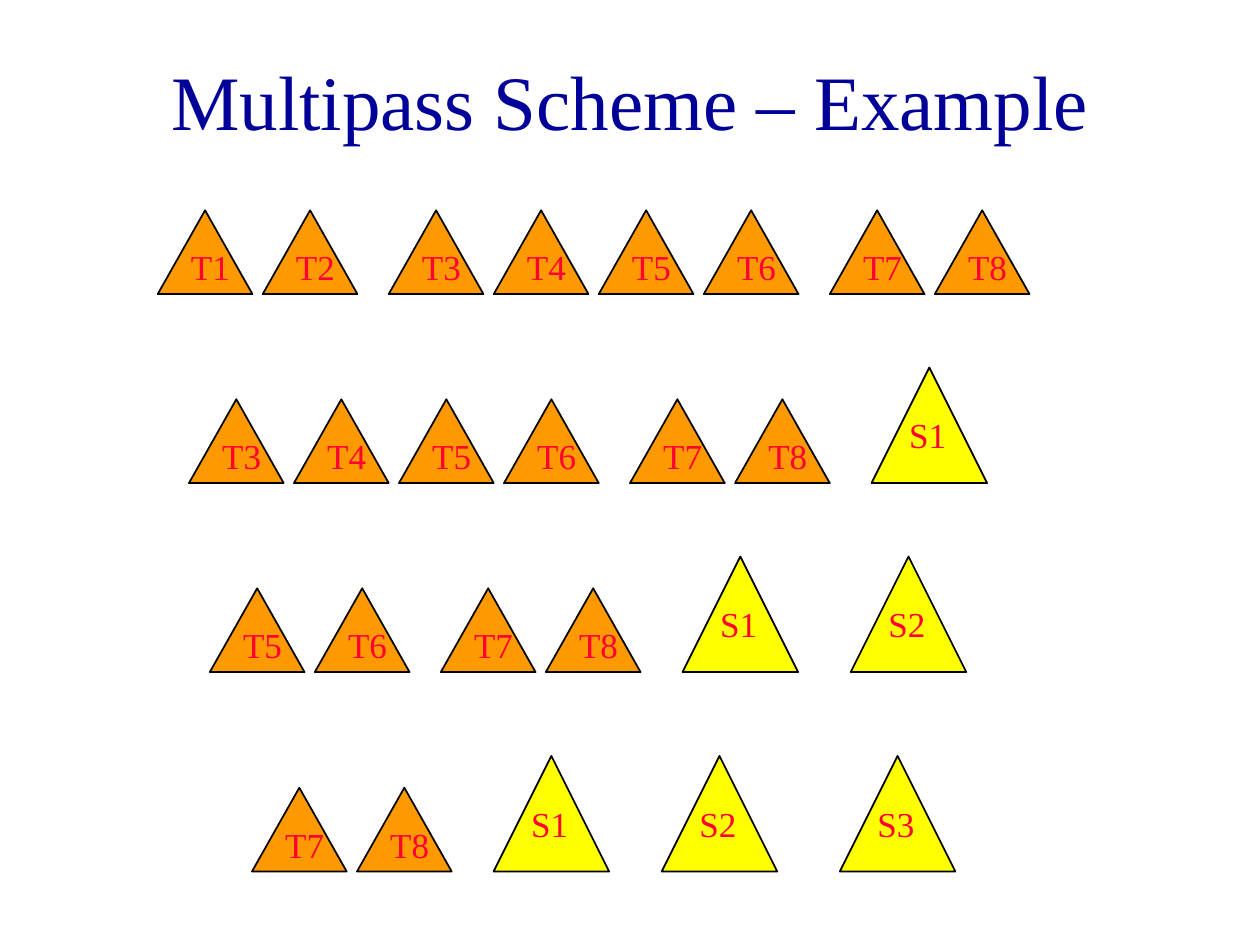
import pptx
import pptx.dml.color
import pptx.enum.shapes
import pptx.enum.text
import pptx.util
from pptx.util import Cm

COLORS = {"title": "000099", "label": "FF0033", "line": "000000",
          "tree": "FF9900", "merged": "FFFF00"}
# All lengths are in centimetres.
SIZES = {"tree": (1.91, 1.69), "merged": (2.33, 2.33)}
LABELS = {"tree": (0.42, 0.59, 1.48), "merged": (0.51, 0.81, 1.8)}  # dx, dy, width
LABEL_HEIGHT = 1.12
TREE_PITCH = 2.117
GROUP_GAP = 0.423
LAST_TREE = 8

# Baseline, first tree, left of the first tree, lefts of the merged trees
PASSES = [
    (5.93, 1, 3.18, []),
    (9.74, 3, 3.81, [17.57]),
    (13.55, 5, 4.23, [13.76, 17.15]),
    (17.57, 7, 5.08, [9.95, 13.34, 16.93]),
]


def tree_offset(number):
    """Distance of a tree from T1; wider gaps precede T3 and T7."""
    gaps = (number >= 3) + (number >= 7)
    return (number - 1) * TREE_PITCH + gaps * GROUP_GAP


class SlideBuilder:
    """Holds the text style and the slide being built."""

    font_name = "Times New Roman"
    title_size = pptx.util.Pt(44)
    label_size = pptx.util.Pt(20)

    def __init__(self, slide):
        self.slide = slide

    def color(self, name):
        return pptx.dml.color.RGBColor.from_string(COLORS[name])

    def style(self, paragraph, size, color):
        paragraph.font.name = self.font_name
        paragraph.font.size = size
        paragraph.font.color.rgb = self.color(color)

    def title(self, text):
        title = self.slide.shapes.title
        title.left, title.top = Cm(1.91), Cm(0.42)
        title.width, title.height = Cm(21.59), Cm(3.18)
        frame = title.text_frame
        frame.text = text
        frame.auto_size = pptx.enum.text.MSO_AUTO_SIZE.NONE
        frame.vertical_anchor = pptx.enum.text.MSO_ANCHOR.MIDDLE
        paragraph = frame.paragraphs[0]
        paragraph.alignment = pptx.enum.text.PP_ALIGN.CENTER
        self.style(paragraph, self.title_size, "title")

    def triangle(self, group, kind, text, left, baseline):
        width, height = SIZES[kind]
        top = baseline - height
        shape = group.shapes.add_shape(
            pptx.enum.shapes.MSO_SHAPE.ISOSCELES_TRIANGLE,
            Cm(left), Cm(top), Cm(width), Cm(height))
        shape.shadow.inherit = False
        shape.fill.solid()
        shape.fill.fore_color.rgb = self.color(kind)
        shape.line.color.rgb = self.color("line")
        shape.line.width = pptx.util.Pt(1)
        dx, dy, label_width = LABELS[kind]
        self.label(group, text, left + dx, top + dy, label_width)

    def label(self, group, text, left, top, width):
        box = group.shapes.add_textbox(Cm(left), Cm(top), Cm(width), Cm(LABEL_HEIGHT))
        frame = box.text_frame
        frame.word_wrap = True
        frame.auto_size = pptx.enum.text.MSO_AUTO_SIZE.SHAPE_TO_FIT_TEXT
        frame.text = text
        paragraph = frame.paragraphs[0]
        paragraph.space_before = pptx.util.Pt(12.5)
        self.style(paragraph, self.label_size, "label")

    def merge_pass(self, baseline, first, left, merged_lefts):
        """Draw the trees still waiting, then the merged ones, as one group."""
        group = self.slide.shapes.add_group_shape()
        for number in range(first, LAST_TREE + 1):
            tree_left = left + tree_offset(number) - tree_offset(first)
            self.triangle(group, "tree", f"T{number}", tree_left, baseline)
        for number, merged_left in enumerate(merged_lefts, start=1):
            self.triangle(group, "merged", f"S{number}", merged_left, baseline)


def main():
    presentation = pptx.Presentation()
    presentation.slide_width, presentation.slide_height = Cm(25.4), Cm(19.05)
    title_only = presentation.slide_layouts[5]
    builder = SlideBuilder(presentation.slides.add_slide(title_only))
    builder.title("Multipass Scheme – Example")
    for merge_pass in PASSES:
        builder.merge_pass(*merge_pass)
    presentation.save("out.pptx")


if __name__ == "__main__":
    main()
